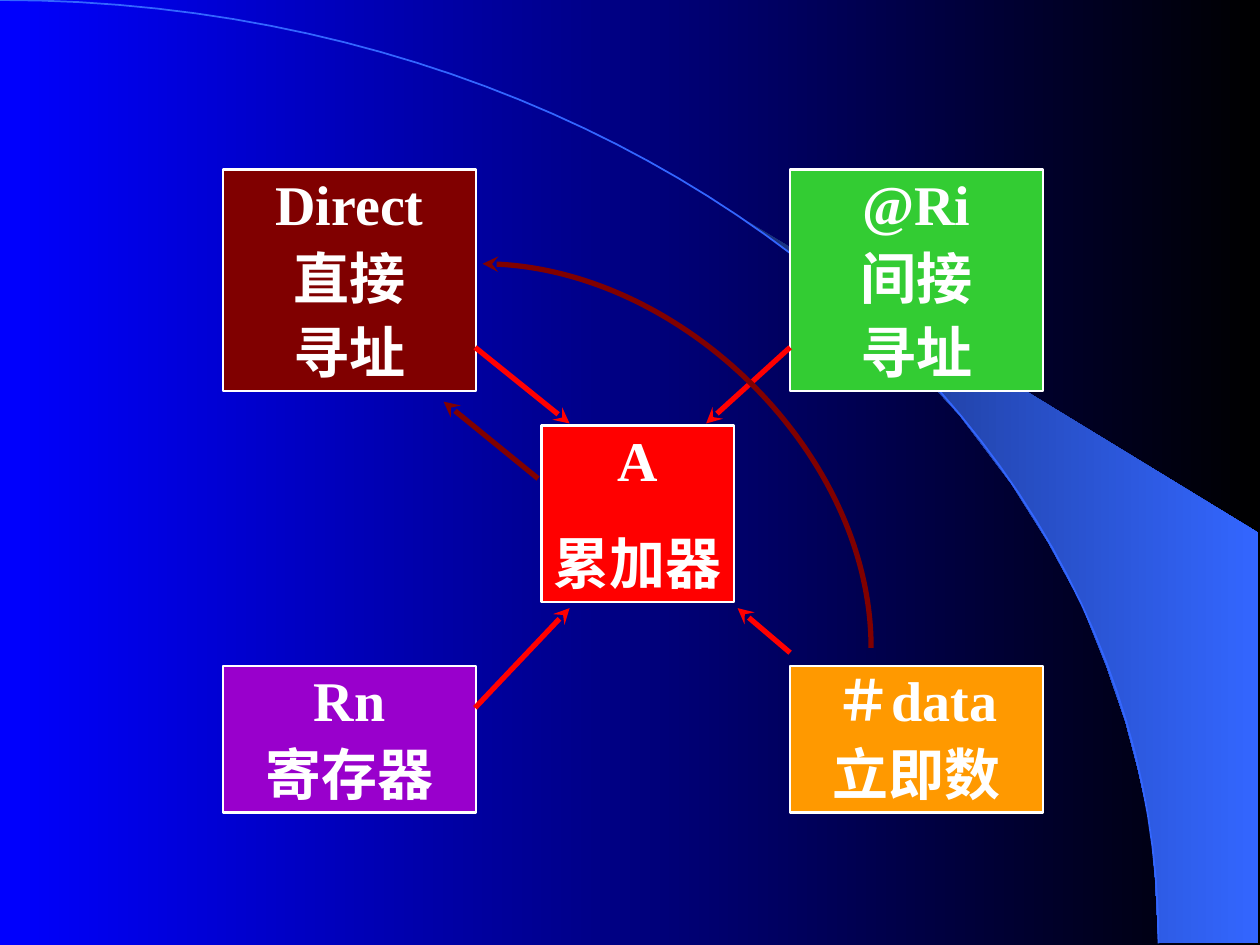
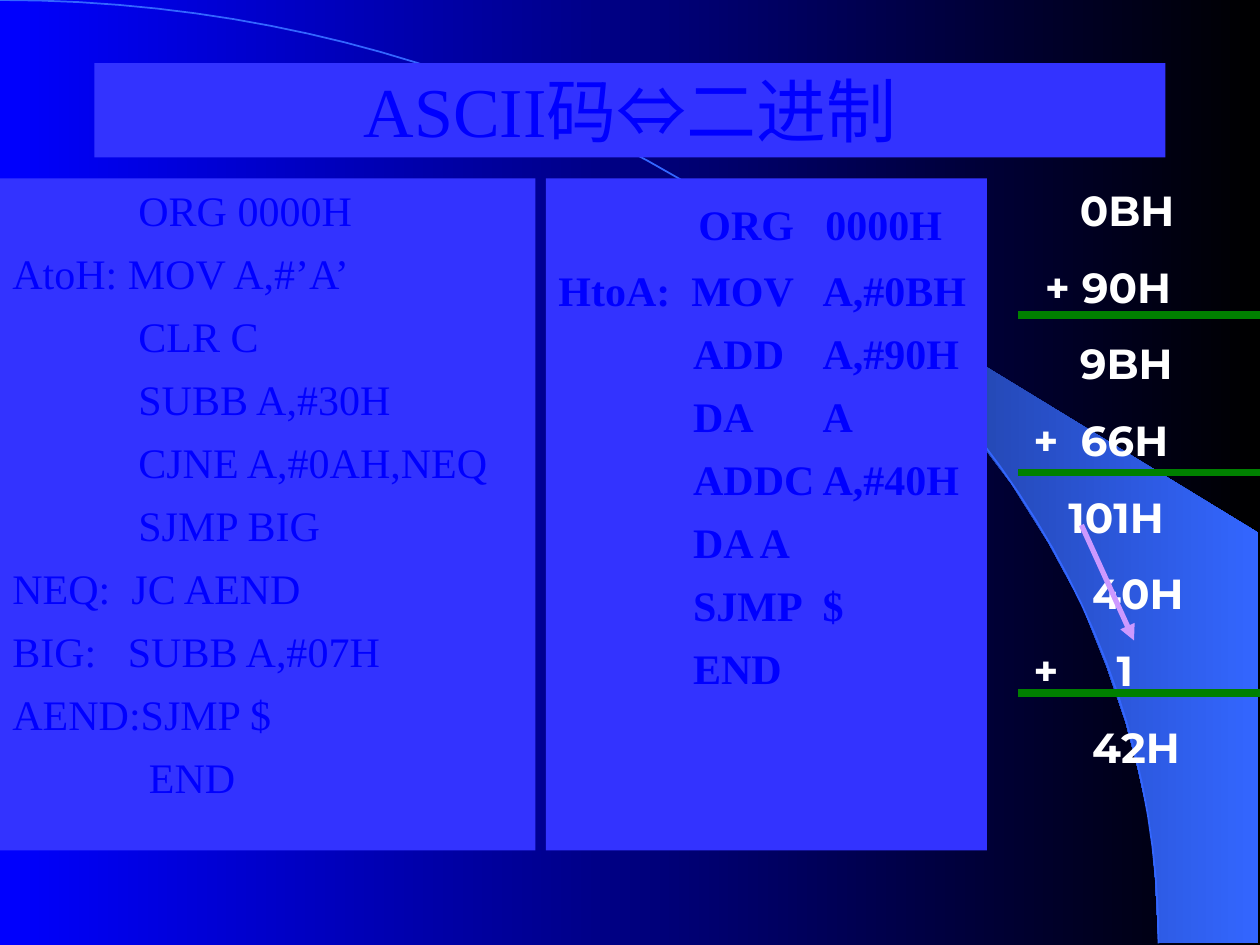
"""Two slides on a microcontroller's addressing modes and ASCII conversion."""
from lxml import etree
from pptx import Presentation, util as u
from pptx.dml import color as dml
from pptx.enum import shapes as es, text as et
from pptx.oxml import ns

HUES = {
    "blue": "0000FF", "black": "000000", "navy": "182F76", "sky": "3366FF",
    "panel": "3333FF", "white": "FFFFFF", "red": "FF0000", "maroon": "800000",
    "lime": "33CC33", "purple": "9900CC", "orange": "FF9900",
    "green": "008000", "lilac": "CC99FF",
}
SERIF, SANS, ROUND = "Times New Roman", "Arial", "Montserrat"
SWOOSH = [
    (662, 539), (719, 539), (719, 304.5), (424, 124.5), (449, 143), (470, 160),
    (493, 180), (515.5, 201.5), (548.5, 237.5), (578, 276.5), (599, 310),
    (618, 345), (632, 380), (643, 412), (650, 438.5), (657.5, 472), (660, 501),
]
ARC = [(0, 0), (366, 0), (662, 241), (662, 539)]


def hue(name):
    return dml.RGBColor.from_string(HUES[name])


def blend(fill, first, last):
    fill.gradient()
    fill.gradient_angle = 0
    for stop, name in zip(fill.gradient_stops, (first, last)):
        stop.color.rgb = hue(name)


def outline(slide, points, close):
    spots = [(u.Pt(x), u.Pt(y)) for x, y in points]
    maker = slide.shapes.build_freeform(*spots[0])
    maker.add_line_segments(spots[1:], close=close)
    shape = maker.convert_to_shape()
    shape.shadow.inherit = False
    return shape


def curve(ends, steps=48):
    spots = []
    for step in range(steps + 1):
        t = step / steps
        parts = ((1 - t) ** 3, 3 * t * (1 - t) ** 2, 3 * t * t * (1 - t), t ** 3)
        spots.append(tuple(sum(p * e[axis] for p, e in zip(parts, ends))
                           for axis in (0, 1)))
    return spots


def backdrop(slide):
    band = outline(slide, SWOOSH, True)
    blend(band.fill, "navy", "sky")
    band.line.fill.background()
    arc = outline(slide, curve(ARC), False)
    arc.fill.background()
    arc.line.color.rgb = hue("sky")
    arc.line.width = u.Pt(1)


def block(slide, box, fill, edge=None):
    shape = slide.shapes.add_shape(es.MSO_SHAPE.RECTANGLE, *map(u.Pt, box))
    shape.shadow.inherit = False
    shape.fill.solid()
    shape.fill.fore_color.rgb = hue(fill)
    if edge:
        shape.line.color.rgb = hue(edge)
        shape.line.width = u.Pt(1.5)
    else:
        shape.line.fill.background()
    return shape


def style(para, size, name, tint, bold=False, align=et.PP_ALIGN.LEFT):
    para.alignment = align
    para.font.size = u.Pt(size)
    para.font.name = name
    para.font.bold = bold
    para.font.color.rgb = hue(tint)


def paras(frame, count):
    for _ in range(count - 1):
        frame.add_paragraph()
    return frame.paragraphs


def set_tabs(para, stops):
    if stops:
        props = para._p.get_or_add_pPr()
        tabs = etree.SubElement(props, ns.qn("a:tabLst"))
        for stop in stops:
            etree.SubElement(tabs, ns.qn("a:tab"), pos=str(u.Pt(stop)), algn="l")


def stroke(slide, start, end, tint, width=3, tip=None,
           kind=es.MSO_CONNECTOR.STRAIGHT):
    line = slide.shapes.add_connector(kind, *map(u.Pt, start + end))
    line.line.color.rgb = hue(tint)
    line.line.width = u.Pt(width)
    if tip:
        etree.SubElement(line.line._get_or_add_ln(), ns.qn("a:tailEnd"), type=tip)
    etree.SubElement(line._element.spPr, ns.qn("a:effectLst"))
    return line


def node(slide, box, fill, lines, loose=False):
    frame = block(slide, box, fill, "white").text_frame
    frame.margin_top = 0
    frame.word_wrap = not loose
    frame.vertical_anchor = et.MSO_ANCHOR.MIDDLE
    for row, (para, words) in enumerate(zip(paras(frame, len(lines)), lines)):
        para.text = words
        if loose or row == 0:
            para.space_before = u.Pt(20)
        else:
            para.space_before = u.Pt(0)
            para.line_spacing = 1.1
        style(para, 32, SERIF, "white", True, et.PP_ALIGN.CENTER)


def sweep(slide, box):
    """Draw the curved arrow that climbs from the box's lower right corner to its upper left."""
    x, y, w, h = box
    line = stroke(slide, (x, y), (x + w, y + h), "maroon", tip="stealth",
                  kind=es.MSO_CONNECTOR.CURVE)
    props = line._element.spPr
    props.find(ns.qn("a:prstGeom")).set("prst", "curvedConnector2")
    frame = props.find(ns.qn("a:xfrm"))
    frame.set("rot", "16200000")
    frame.set("flipV", "1")


def modes(slide, box):
    x, y, w, h = box
    wide, tall, low = 144.5, 126.5, 84
    right, base = x + w - wide, y + h - low
    node(slide, (x + 182, y + 146, 110, 101), "red", ["A", "累加器"], True)
    node(slide, (x, y, wide, tall), "maroon", ["Direct", "直接", "寻址"])
    node(slide, (right, y, wide, tall), "lime", ["@Ri", "间接", "寻址"])
    node(slide, (x, base, wide, low), "purple", ["Rn", "寄存器"])
    node(slide, (right, base, wide, low), "orange", ["＃data", "立即数"])
    arrows = [
        ("red", (144, 307.5), (198, 250.5)),
        ("red", (144, 101.5), (198, 145)),
        ("red", (324, 276), (294, 250.5)),
        ("red", (324, 101.5), (276, 145)),
        ("maroon", (180, 176.5), (126, 132.5)),
    ]
    for tint, (ax, ay), (bx, by) in arrows:
        stroke(slide, (x + ax, y + ay), (x + bx, y + by), tint, tip="stealth")
    sweep(slide, (x + 149.5, y + 52.5, 219.5, 222))


def title(slide, box):
    frame = block(slide, box, "panel").text_frame
    frame.word_wrap = True
    frame.vertical_anchor = et.MSO_ANCHOR.BOTTOM
    para = frame.paragraphs[0]
    for words, name in (("ASCII码", SERIF), ("⇔", SANS), ("二进制", SERIF)):
        run = para.add_run()
        run.text = words
        run.font.name = name
    style(para, 40, SERIF, "blue", align=et.PP_ALIGN.CENTER)


def listing(slide, box, lines, bold=False, lead=24):
    frame = block(slide, box, "panel").text_frame
    frame.word_wrap = True
    frame.vertical_anchor = et.MSO_ANCHOR.TOP
    for row, (para, (words, *stops)) in enumerate(
            zip(paras(frame, len(lines)), lines)):
        set_tabs(para, stops)
        if row == 0 and lead != 24:
            gap = para.add_run()
            gap.text = "\t"
            gap.font.size = u.Pt(lead)
            words = words[1:]
        para.add_run().text = words
        para.space_before = u.Pt(7.2)
        style(para, 24, SERIF, "blue", bold)


def sums(slide, box, lines):
    x, y, w, h = box
    frame = slide.shapes.add_textbox(*map(u.Pt, box)).text_frame
    frame.word_wrap = True
    for para, (words, *stops) in zip(paras(frame, len(lines)), lines):
        set_tabs(para, stops)
        para.text = words
        para.space_before = u.Pt(15)
        style(para, 24, ROUND, "white", True)
    for drop in (78, 168, 294):
        stroke(slide, (x + 12, y + drop), (x + w, y + drop), "green", 4.5)
    stroke(slide, (x + 48, y + 198), (x + 78, y + 264), "lilac", tip="triangle")


def convert(slide, box):
    x, y, w, h = box
    title(slide, (x + 54, y + 36, 612, 54))
    top, tall = y + 102, 384
    listing(slide, (x, top, 306, tall), [
        ("\tORG 0000H", 72), ("AtoH: MOV A,#’A’",), ("\tCLR C", 72),
        ("\tSUBB A,#30H", 72), ("\tCJNE A,#0AH,NEQ", 72), ("\tSJMP BIG", 72),
        ("NEQ:\tJC AEND", 68), ("BIG:\tSUBB A,#07H", 66),
        ("AEND:SJMP $",), ("\tEND", 78),
    ])
    listing(slide, (x + 312, top, 252, tall), [
        ("\tORG\t0000H", 80, 152.5), ("HtoA:\tMOV\tA,#0BH", 76, 151),
        ("\tADD\tA,#90H", 77, 151), ("\tDA\tA", 77, 151),
        ("\tADDC A,#40H", 77), ("\tDA A", 77), ("\tSJMP\t$", 77, 151),
        ("\tEND", 77),
    ], True, 32)
    sums(slide, (x + 570, top, w - 570, tall), [
        ("\t0BH", 40), ("\t+ 90H", 20), ("\t9BH", 40), ("\t+\t66H", 13.5, 40.5),
        ("\t101H", 33.5), ("\t40H", 47), ("\t+\t1", 13.5, 61), ("\t42H", 47),
    ])


def main():
    deck = Presentation()
    deck.slide_width, deck.slide_height = u.Pt(720), u.Pt(540)
    blend(deck.slide_master.background.fill, "blue", "black")
    pages = [(modes, (127.5, 97, 468.5, 367.5)), (convert, (0, 0, 720, 540))]
    for draw, box in pages:
        slide = deck.slides.add_slide(deck.slide_layouts[6])
        backdrop(slide)
        draw(slide, box)
    deck.save("out.pptx")


if __name__ == "__main__":
    main()
